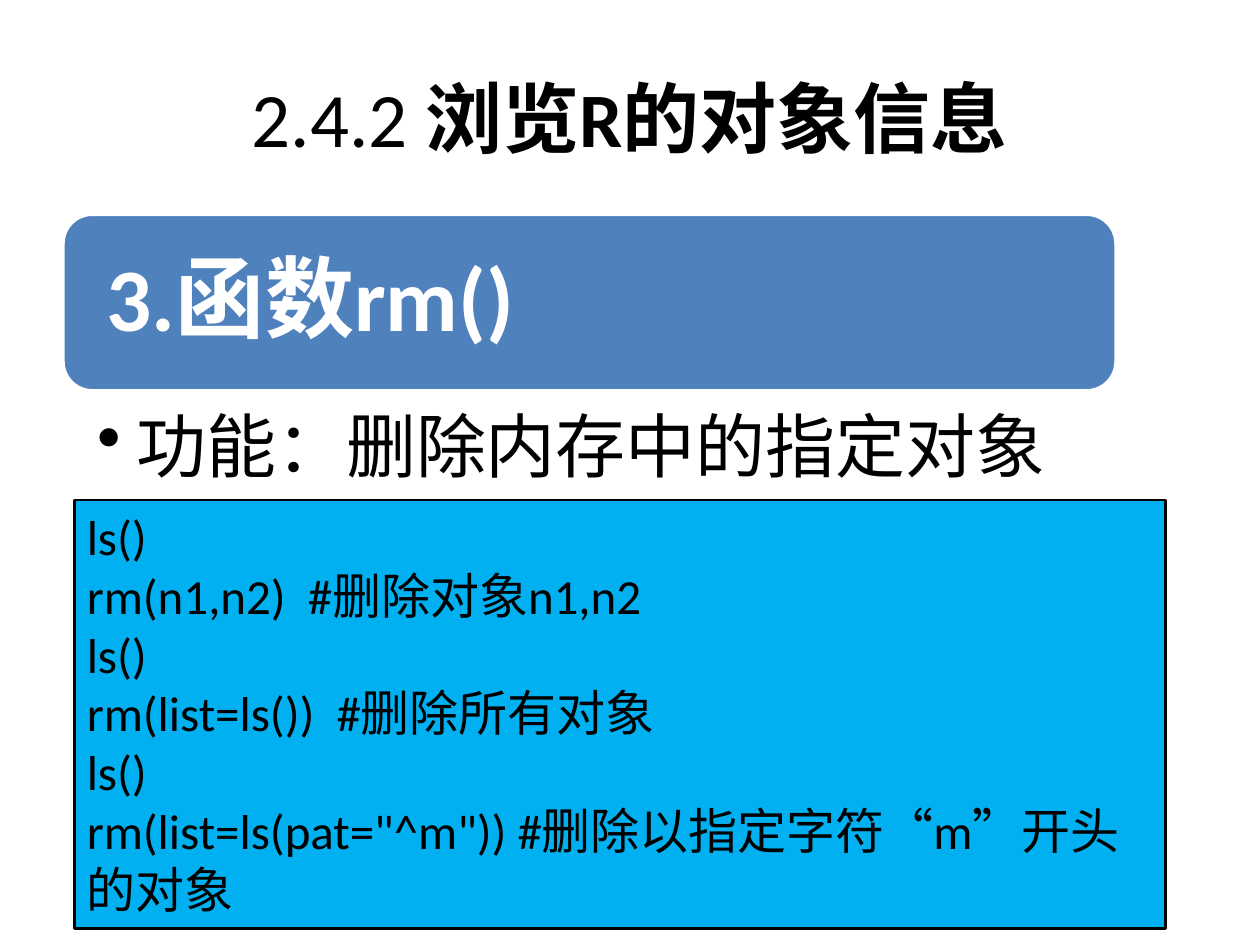
"""Build a slide on removing R objects with rm()."""
from pptx import Presentation
from pptx.dml.color import RGBColor
from pptx.enum.shapes import MSO_SHAPE
from pptx.enum.text import MSO_ANCHOR, PP_ALIGN
from pptx.oxml.ns import qn
from pptx.util import Cm, Pt
from lxml.etree import SubElement

BLACK = RGBColor(0x00, 0x00, 0x00)
WHITE = RGBColor(0xFF, 0xFF, 0xFF)
BLUE = RGBColor(0x4F, 0x81, 0xBD)
CYAN = RGBColor(0x00, 0xB0, 0xF0)

CODE = [
    "ls()",
    "rm(n1,n2)  #删除对象n1,n2",
    "ls()",
    "rm(list=ls())  #删除所有对象",
    "ls()",
    'rm(list=ls(pat="^m")) #删除以指定字符“m”开头的对象',
]


class SlideWriter:
    font_name = "Calibri"

    def __init__(self, page):
        self.page = page

    def style(self, para, size, color=BLACK, bold=None):
        para.font.name = self.font_name
        para.font.size = Pt(size)
        para.font.color.rgb = color
        para.font.bold = bold

    def frame(self, box, anchor, insets=(0.25, 0.13, 0.25, 0.13)):
        frame = box.text_frame
        frame.word_wrap = True
        frame.vertical_anchor = anchor
        (frame.margin_left, frame.margin_top,
         frame.margin_right, frame.margin_bottom) = map(Cm, insets)
        return frame

    def text_box(self, place, anchor, **options):
        box = self.page.shapes.add_textbox(*map(Cm, place))
        return self.frame(box, anchor, **options)

    def panel(self, kind, place, fill, line, width, anchor, **options):
        box = self.page.shapes.add_shape(kind, *map(Cm, place))
        box.shadow.inherit = False
        box.fill.solid()
        box.fill.fore_color.rgb = fill
        box.line.color.rgb = line
        box.line.width = Pt(width)
        return self.frame(box, anchor, **options)

    def title(self, place, number, heading):
        para = self.text_box(place, MSO_ANCHOR.MIDDLE).paragraphs[0]
        para.alignment = PP_ALIGN.CENTER
        para.add_run().text = number
        span = para.add_run()
        span.text = heading
        span.font.bold = True
        self.style(para, 44)

    def banner(self, place, text):
        frame = self.panel(MSO_SHAPE.ROUNDED_RECTANGLE, place, BLUE, WHITE, 2,
                           MSO_ANCHOR.MIDDLE, insets=(0.71,) * 4)
        para = frame.paragraphs[0]
        para.text = text
        para.alignment = PP_ALIGN.LEFT
        para.line_spacing = 0.9
        self.style(para, 51, WHITE, True)

    def bullet(self, place, text):
        frame = self.text_box(place, MSO_ANCHOR.TOP,
                              insets=(0.69, 0.18, 1.02, 0.18))
        para = frame.paragraphs[0]
        para.text = text
        para.line_spacing = 0.9
        properties = para._p.get_or_add_pPr()
        properties.set("marL", str(Cm(0.79)))
        properties.set("indent", str(-Cm(0.79)))
        SubElement(properties, qn("a:buChar"), char="•")
        self.style(para, 40)

    def code(self, place, lines):
        frame = self.panel(MSO_SHAPE.RECTANGLE, place, CYAN, BLACK, 1.5,
                           MSO_ANCHOR.TOP)
        frame.text = "\n".join(lines)
        for para in frame.paragraphs:
            para.alignment = PP_ALIGN.LEFT
            self.style(para, 28)


def main():
    deck = Presentation()
    deck.slide_width, deck.slide_height = Cm(25.4), Cm(19.05)
    writer = SlideWriter(deck.slides.add_slide(deck.slide_layouts[6]))
    writer.title((1.27, 0.76, 22.86, 3.18), "2.4.2 ", "浏览R的对象信息")
    writer.banner((1.27, 4.32, 21.23, 3.56), "3.函数rm()")
    writer.bullet((1.27, 8.13, 21.23, 2.34), "功能：删除内存中的指定对象")
    writer.code((1.5, 10.08, 22, 8.64), CODE)
    deck.save("out.pptx")


if __name__ == "__main__":
    main()
